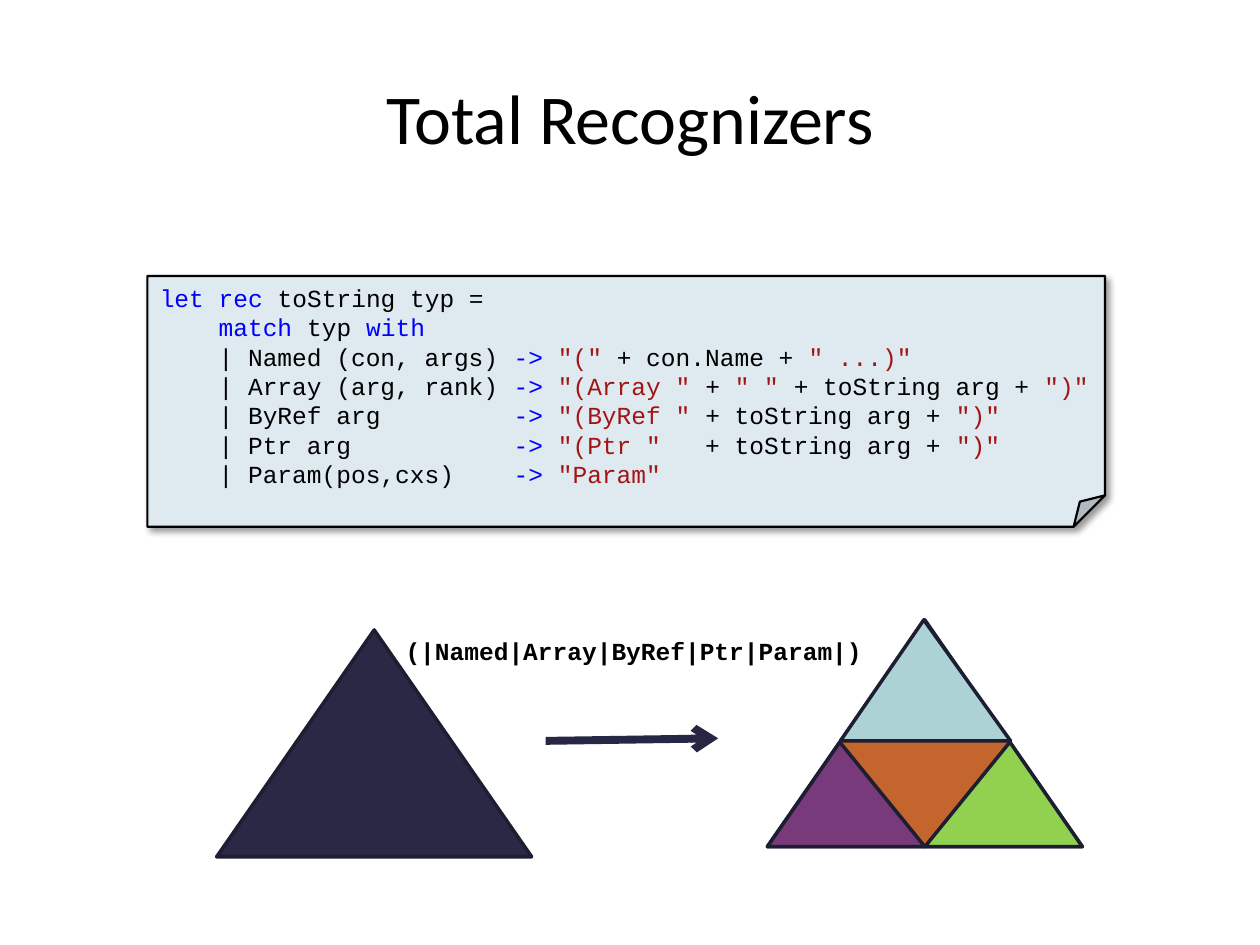
from dataclasses import dataclass

from lxml.etree import SubElement
from pptx import Presentation
from pptx.dml.color import RGBColor
from pptx.enum.shapes import MSO_CONNECTOR, MSO_SHAPE
from pptx.enum.text import MSO_ANCHOR, PP_ALIGN
from pptx.oxml.ns import qn
from pptx.util import Inches, Pt

BLACK = RGBColor(0x00, 0x00, 0x00)
KEYWORD = RGBColor(0x00, 0x00, 0xFF)
STRING = RGBColor(0xA3, 0x15, 0x15)
PAPER = RGBColor(0xDE, 0xE9, 0xF0)
NAVY = RGBColor(0x29, 0x29, 0x45)
OUTLINE = RGBColor(0x1E, 0x1E, 0x33)
ARROW = RGBColor(0x27, 0x27, 0x44)
ORANGE = RGBColor(0xC4, 0x65, 0x2D)
AQUA = RGBColor(0xAD, 0xD2, 0xD6)
GREEN = RGBColor(0x92, 0xD0, 0x50)
PURPLE = RGBColor(0x78, 0x3A, 0x7A)


@dataclass
class Triangle:
    left: float
    top: float
    width: float
    height: float
    fill: RGBColor
    apex: float = 0.5


WHOLE = Triangle(1.72, 5, 2.5, 1.8, NAVY)
PARTS = [
    Triangle(6.09, 4.92, 2.5, 1.8, ORANGE),
    Triangle(6.67, 4.92, 1.35, 0.96, AQUA, 0.49),
    Triangle(7.34, 5.89, 1.25, 0.83, GREEN, 0.54),
    Triangle(6.09, 5.89, 1.25, 0.83, PURPLE, 0.46),
]

CODE = [
    [("let rec ", KEYWORD), ("toString typ =", BLACK)],
    [("    match ", KEYWORD), ("typ ", BLACK), ("with", KEYWORD)],
    [("    | Named (con, args) ", BLACK), ("-> ", KEYWORD), ('"("', STRING),
     (" + con.Name + ", BLACK), ('" ...)"', STRING)],
    [("    | Array (arg, rank) ", BLACK), ("-> ", KEYWORD), ('"(Array "', STRING),
     (" + ", BLACK), ('" "', STRING), (" + toString arg + ", BLACK), ('")"', STRING)],
    [("    | ByRef arg         ", BLACK), ("-> ", KEYWORD), ('"(ByRef "', STRING),
     (" + toString arg + ", BLACK), ('")"', STRING)],
    [("    | Ptr arg           ", BLACK), ("-> ", KEYWORD), ('"(Ptr "', STRING),
     ("   + toString arg + ", BLACK), ('")"', STRING)],
    [("    | Param(pos,cxs)    ", BLACK), ("-> ", KEYWORD), ('"Param"', STRING)],
]


def add_run(paragraph, text: str, color: RGBColor = BLACK, size: float = 14,
            font: str = "Courier New", bold: bool = False) -> None:
    run = paragraph.add_run()
    run.text = text
    run.font.name = font
    run.font.size = Pt(size)
    run.font.bold = bold
    run.font.color.rgb = color


def style_shape(shape, fill: RGBColor, line: RGBColor, width: float) -> None:
    shape.shadow.inherit = False
    shape.fill.solid()
    shape.fill.fore_color.rgb = fill
    shape.line.color.rgb = line
    shape.line.width = Pt(width)


def add_triangle(shapes, triangle: Triangle) -> None:
    shape = shapes.add_shape(
        MSO_SHAPE.ISOSCELES_TRIANGLE, Inches(triangle.left), Inches(triangle.top),
        Inches(triangle.width), Inches(triangle.height))
    shape.adjustments[0] = triangle.apex
    style_shape(shape, triangle.fill, OUTLINE, 2)


def set_fold(shape, fraction: float) -> None:
    """Set the fold size in XML, as python-pptx lists no adjustment for this shape."""
    geometry = shape._element.spPr.find(qn("a:prstGeom"))
    SubElement(geometry.find(qn("a:avLst")), qn("a:gd"), name="adj",
               fmla=f"val {round(fraction * 100000)}")


def add_drop_shadow(shape) -> None:
    effects = shape._element.spPr.find(qn("a:effectLst"))
    shadow = SubElement(effects, qn("a:outerShdw"), blurRad=str(Pt(4)), dist=str(Pt(3)),
                        dir=str(45 * 60000), algn="tl", rotWithShape="0")
    color = SubElement(shadow, qn("a:srgbClr"), val=str(BLACK))
    SubElement(color, qn("a:alpha"), val="40000")


def add_arrow(shapes) -> None:
    arrow = shapes.add_connector(MSO_CONNECTOR.STRAIGHT, Inches(4.33), Inches(5.88),
                                 Inches(5.7), Inches(5.86))
    arrow.line.color.rgb = ARROW
    arrow.line.width = Pt(4.5)
    properties = arrow._element.spPr
    SubElement(properties.find(qn("a:ln")), qn("a:tailEnd"), type="arrow")
    SubElement(properties, qn("a:effectLst"))


def add_code_note(shapes) -> None:
    note = shapes.add_shape(MSO_SHAPE.FOLDED_CORNER, Inches(1.17), Inches(2.19),
                            Inches(7.6), Inches(1.99))
    set_fold(note, 0.125)
    style_shape(note, PAPER, BLACK, 1.25)
    add_drop_shadow(note)
    frame = note.text_frame
    frame.word_wrap = False
    frame.vertical_anchor = MSO_ANCHOR.MIDDLE
    for index, line in enumerate(CODE):
        paragraph = frame.add_paragraph() if index else frame.paragraphs[0]
        paragraph.alignment = PP_ALIGN.LEFT
        for text, color in line:
            add_run(paragraph, text, color)


def main() -> None:
    presentation = Presentation()
    presentation.slide_width = Inches(10)
    presentation.slide_height = Inches(7.5)
    slide = presentation.slides.add_slide(presentation.slide_layouts[5])
    shapes = slide.shapes

    title = shapes.title
    title.left, title.top = Inches(0.5), Inches(0.3)
    title.width, title.height = Inches(9), Inches(1.25)
    title.text_frame.vertical_anchor = MSO_ANCHOR.MIDDLE
    heading = title.text_frame.paragraphs[0]
    heading.alignment = PP_ALIGN.CENTER
    add_run(heading, "Total Recognizers", size=40, font="Calibri")

    add_triangle(shapes, WHOLE)
    partition = shapes.add_group_shape()
    for part in PARTS:
        add_triangle(partition.shapes, part)
    add_arrow(shapes)

    label = shapes.add_textbox(Inches(3.12), Inches(5), Inches(4.02), Inches(0.34))
    label.text_frame.word_wrap = True
    add_run(label.text_frame.paragraphs[0], "(|Named|Array|ByRef|Ptr|Param|)", bold=True)

    add_code_note(shapes)
    presentation.save("out.pptx")


if __name__ == "__main__":
    main()
